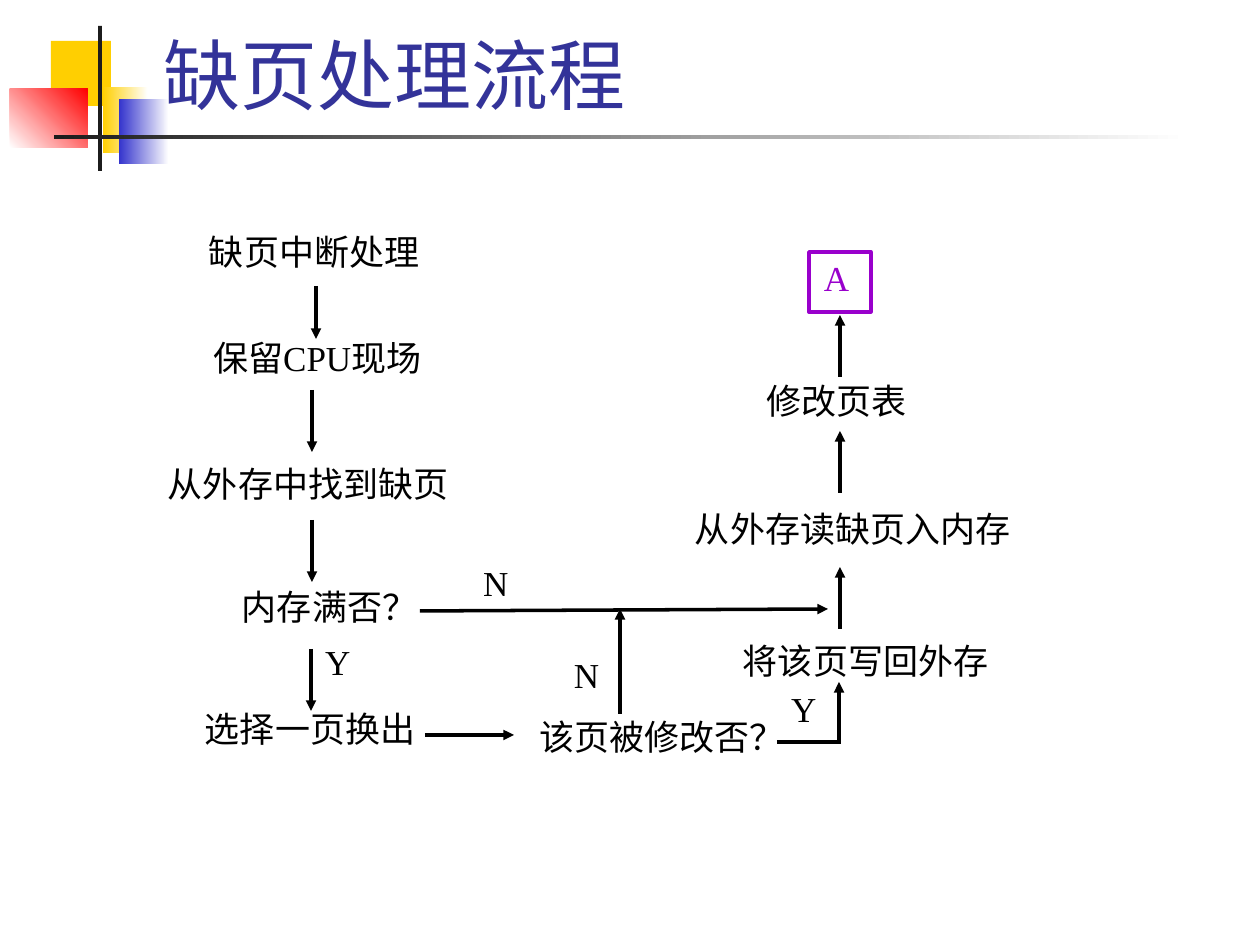
from pptx import Presentation
from pptx.dml.color import RGBColor
from pptx.enum.shapes import MSO_CONNECTOR, MSO_SHAPE
from pptx.enum.text import MSO_ANCHOR, PP_ALIGN
from pptx.oxml.ns import qn
from pptx.util import Pt
from lxml import etree

RECT = MSO_SHAPE.RECTANGLE
LINE = MSO_CONNECTOR.STRAIGHT
TOP, BOTTOM = MSO_ANCHOR.TOP, MSO_ANCHOR.BOTTOM
LEFT, JUSTIFY = PP_ALIGN.LEFT, PP_ALIGN.JUSTIFY
SCALE = 914400 / 126
BODY = "Times New Roman"
BLACK, PURPLE = "000000", "9900CC"

BLOCKS = [
    (51, 41, 60, 65, ["FFCF01"], 0),
    (103, 87, 45, 66, ["FFCF01", "FFFFFF"], 0),
    (119, 99, 50, 65, ["3333CC", "FFFFFF"], 0),
    (10, 89, 78, 59, ["FFFFFF", "FF0000"], 45),
    (98, 26, 4, 145, ["1C1C1C"], 0),
    (54, 135, 1134, 4, ["1C1C1C", "FFFFFF"], 0),
]
STEPS = [
    ("缺页中断处理", 209, 231, 232, 53),
    ("保留CPU现场", 213, 337, 248, 53),
    ("从外存中找到缺页", 168, 462, 305, 42),
    ("内存满否？", 242, 585, 186, 45),
    ("选择一页换出", 205, 708, 226, 48),
    ("该页被修改否？", 539, 716, 270, 50),
    ("将该页写回外存", 743, 639, 275, 44),
    ("从外存读缺页入内存", 695, 508, 334, 49),
    ("修改页表", 766, 380, 146, 50),
    ("N", 483, 561, 45, 58),
    ("Y", 325, 641, 45, 62),
    ("N", 574, 654, 45, 62),
    ("Y", 791, 687, 45, 58),
]
ARROWS = [
    (316, 286, 316, 339),
    (312, 390, 312, 452),
    (312, 520, 312, 582),
    (311, 649, 311, 711),
    (425, 735, 514, 735),
    (420, 611, 828, 609),
    (620, 714, 620, 609),
    (839, 744, 839, 682),
    (840, 629, 840, 567),
    (840, 493, 840, 431),
    (840, 377, 840, 315),
]


def px(*nums):
    """Turn px lengths into EMU."""
    return [round(n * SCALE) for n in nums]


def rgb(text):
    """Turn a hex string into a colour."""
    return RGBColor.from_string(text)


def block(slide, x, y, w, h, hues, angle):
    """Add a plain or two-colour block without outline."""
    shape = slide.shapes.add_shape(RECT, *px(x, y, w, h))
    shape.shadow.inherit = False
    shape.line.fill.background()
    if len(hues) == 1:
        shape.fill.solid()
        shape.fill.fore_color.rgb = rgb(hues[0])
        return
    shape.fill.gradient()
    shape.fill.gradient_angle = angle
    for stop, hue in zip(shape.fill.gradient_stops, hues):
        stop.color.rgb = rgb(hue)


def write(shape, text, size=20, name=BODY, hue=BLACK, align=JUSTIFY,
          anchor=TOP, inset=(0, 0, 0, 0)):
    """Put one styled paragraph into a shape."""
    frame = shape.text_frame
    frame.word_wrap = True
    frame.vertical_anchor = anchor
    (frame.margin_left, frame.margin_top,
     frame.margin_right, frame.margin_bottom) = px(*inset)
    para = frame.paragraphs[0]
    para.text = text
    para.alignment = align
    para.font.size = Pt(size)
    para.font.name = name
    para.font.color.rgb = rgb(hue)


def label(slide, text, x, y, w, h, **style):
    """Add a text box."""
    write(slide.shapes.add_textbox(*px(x, y, w, h)), text, **style)


def link(slide, x1, y1, x2, y2, head=True):
    """Add a straight line, with an arrowhead at its end if asked."""
    line = slide.shapes.add_connector(LINE, *px(x1, y1, x2, y2))
    line.line.color.rgb = rgb(BLACK)
    line.line.width = Pt(2)
    if head:
        etree.SubElement(line.line._get_or_add_ln(), qn("a:tailEnd"),
                         type="triangle")
    etree.SubElement(line._element.spPr, qn("a:effectLst"))


def frame_box(slide, text, x, y, w, h):
    """Add the outlined end box."""
    shape = slide.shapes.add_shape(RECT, *px(x, y, w, h))
    shape.shadow.inherit = False
    shape.fill.background()
    shape.line.color.rgb = rgb(PURPLE)
    shape.line.width = Pt(2)
    write(shape, text, hue=PURPLE, inset=(15, 5, 0, 0))


def main():
    """Build the slide and save it."""
    deck = Presentation()
    deck.slide_width, deck.slide_height = px(1260, 945)
    slide = deck.slides.add_slide(deck.slide_layouts[6])
    for item in BLOCKS:
        block(slide, *item)
    label(slide, "缺页处理流程", 151, 21, 1074, 105, size=44, name="Cabin",
          hue="333399", align=LEFT, anchor=BOTTOM, inset=(13, 6, 13, 6))
    for step in STEPS:
        label(slide, *step)
    for arrow in ARROWS:
        link(slide, *arrow)
    link(slide, 777, 742, 837, 742, head=False)
    frame_box(slide, "A", 809, 252, 62, 60)
    deck.save("out.pptx")


if __name__ == "__main__":
    main()
